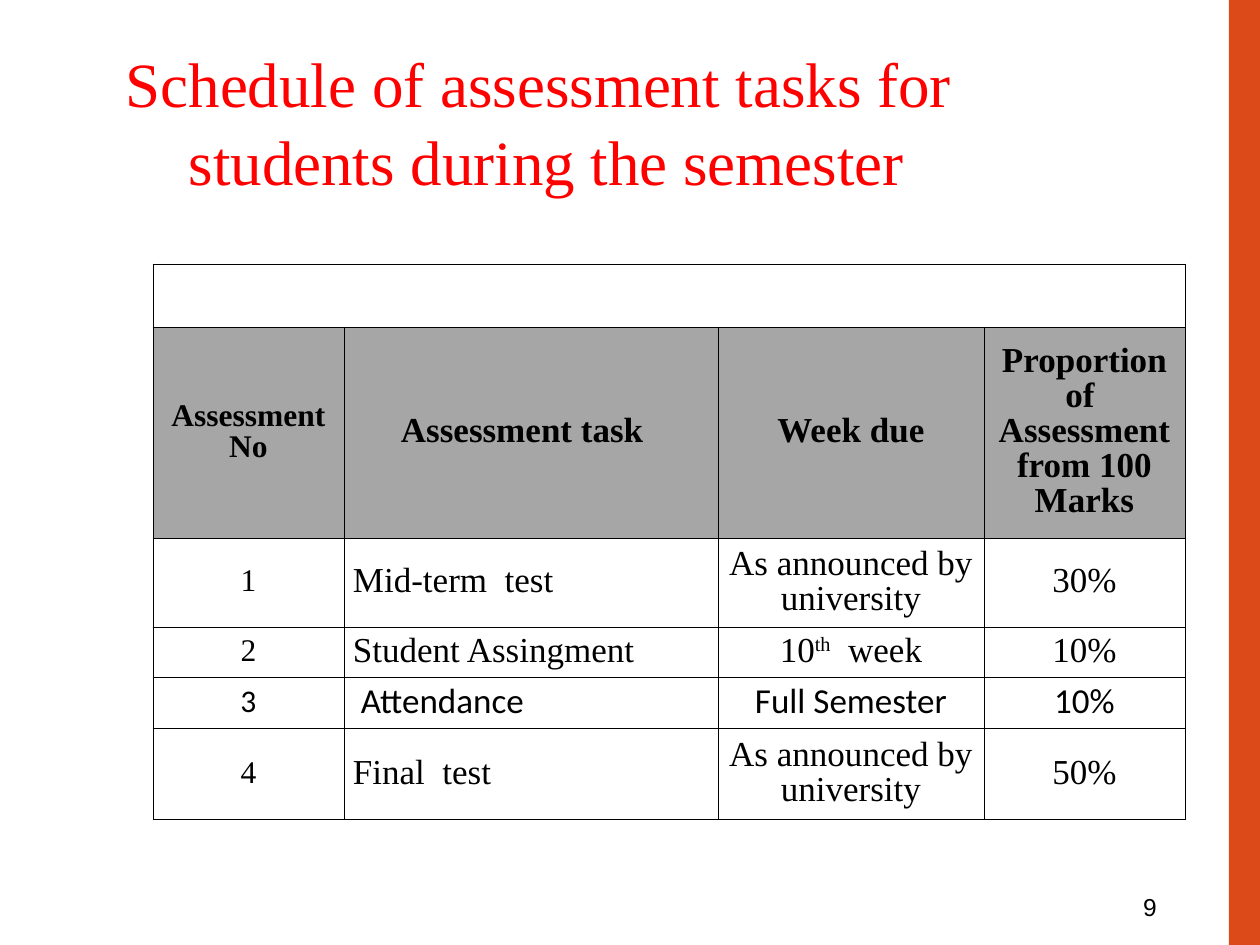
import pptx
import pptx.dml.color
import pptx.enum.shapes
import pptx.enum.text
import pptx.oxml
import pptx.oxml.ns
import pptx.util

PX = 914400 // 126
ALIGN = pptx.enum.text.PP_ALIGN
ANCHOR = pptx.enum.text.MSO_ANCHOR
SERIF, SANS = "Times New Roman", "Calibri"

TITLE = "Schedule of assessment tasks for students during the semester"
HEADER = ["Assessment No", "Assessment task  ", "Week due",
          "Proportion of  Assessment from 100 Marks"]
TASKS = [
    ["1", "Mid-term  test", "As announced by university", "30%"],
    ["2", "Student Assingment", ("10", "th", "  week"), "10%"],
    ["3", " Attendance", "Full Semester", "10%"],
    ["4", "Final  test", "As announced by university", "50%"],
]
SANS_ROW = 4
COLUMNS = [191, 374, 266, 201]
ROWS = [63, 211, 89, 50, 51, 92]


def px(*values):
    return [pptx.util.Emu(v * PX) for v in values]


def color(value):
    return pptx.dml.color.RGBColor.from_string(value)


def set_font(p, name, size, hex_color, bold=False):
    p.font.name = name
    p.font.size = pptx.util.Pt(size)
    p.font.color.rgb = color(hex_color)
    p.font.bold = bold


def add_borders(cell):
    tc_pr = cell._tc.get_or_add_tcPr()
    for side in ("lnL", "lnR", "lnT", "lnB"):
        tc_pr.append(pptx.oxml.parse_xml(
            f'<a:{side} {pptx.oxml.ns.nsdecls("a")} w="5715"><a:solidFill>'
            f'<a:srgbClr val="000000"/></a:solidFill></a:{side}>'))


def write_cell(cell, content, row, col):
    cell.vertical_anchor = ANCHOR.MIDDLE
    cell.margin_left, cell.margin_right = px(9, 9)
    cell.margin_top, cell.margin_bottom = px(6, 6)
    p = cell.text_frame.paragraphs[0]
    p.alignment = ALIGN.LEFT if row > 1 and col == 1 else ALIGN.CENTER
    p.line_spacing = 0.9
    set_font(p, SANS if row == SANS_ROW else SERIF,
             18 if col == 0 else 20, "000000", row == 1)
    parts = (content,) if isinstance(content, str) else content
    for i, part in enumerate(parts):
        r = p.add_run()
        r.text = part
        if i == 1:
            r._r.get_or_add_rPr().set("baseline", "30000")


def add_title(slide):
    sp = slide.shapes.title
    sp.left, sp.top, sp.width, sp.height = px(113, 35, 1053, 164)
    tf = sp.text_frame
    tf.word_wrap = True
    tf.auto_size = pptx.enum.text.MSO_AUTO_SIZE.NONE
    tf.vertical_anchor = ANCHOR.TOP
    p = tf.paragraphs[0]
    p.text = TITLE
    p.alignment = ALIGN.LEFT
    p.line_spacing = 1.04
    p_pr = p._p.get_or_add_pPr()
    p_pr.set("marL", str(63 * PX))
    p_pr.set("indent", str(-63 * PX))
    set_font(p, SERIF, 36, "FF0000")


def add_schedule(slide):
    frame = slide.shapes.add_table(
        len(ROWS), len(COLUMNS), *px(153, 264, sum(COLUMNS), sum(ROWS)))
    table = frame.table
    table.first_row = table.horz_banding = False
    for column, width in zip(table.columns, px(*COLUMNS)):
        column.width = width
    for row, height in zip(table.rows, px(*ROWS)):
        row.height = height
    table.cell(0, 0).merge(table.cell(0, len(COLUMNS) - 1))
    for row in range(len(ROWS)):
        for col in range(len(COLUMNS)):
            cell = table.cell(row, col)
            add_borders(cell)
            if row == 1:
                cell.fill.solid()
                cell.fill.fore_color.rgb = color("A6A6A6")
            else:
                cell.fill.background()
    for row, contents in enumerate([HEADER] + TASKS, start=1):
        for col, content in enumerate(contents):
            write_cell(table.cell(row, col), content, row, col)


def add_side_band(slide):
    sp = slide.shapes.add_shape(
        pptx.enum.shapes.MSO_SHAPE.RECTANGLE, *px(1229, 0, 31, 945))
    sp.shadow.inherit = False
    sp.fill.solid()
    sp.fill.fore_color.rgb = color("DC4A1A")
    sp.line.fill.background()


def add_page_number(slide):
    tf = slide.shapes.add_textbox(*px(1103, 886, 73, 42)).text_frame
    tf.word_wrap = True
    p = tf.paragraphs[0]
    p.text = "9 "
    p.alignment = ALIGN.RIGHT
    set_font(p, "Arial", 14, "000000")


def main():
    prs = pptx.Presentation()
    prs.slide_width, prs.slide_height = px(1260, 945)
    slide = prs.slides.add_slide(prs.slide_layouts[5])
    add_page_number(slide)
    add_side_band(slide)
    add_title(slide)
    add_schedule(slide)
    prs.save("out.pptx")


if __name__ == "__main__":
    main()
